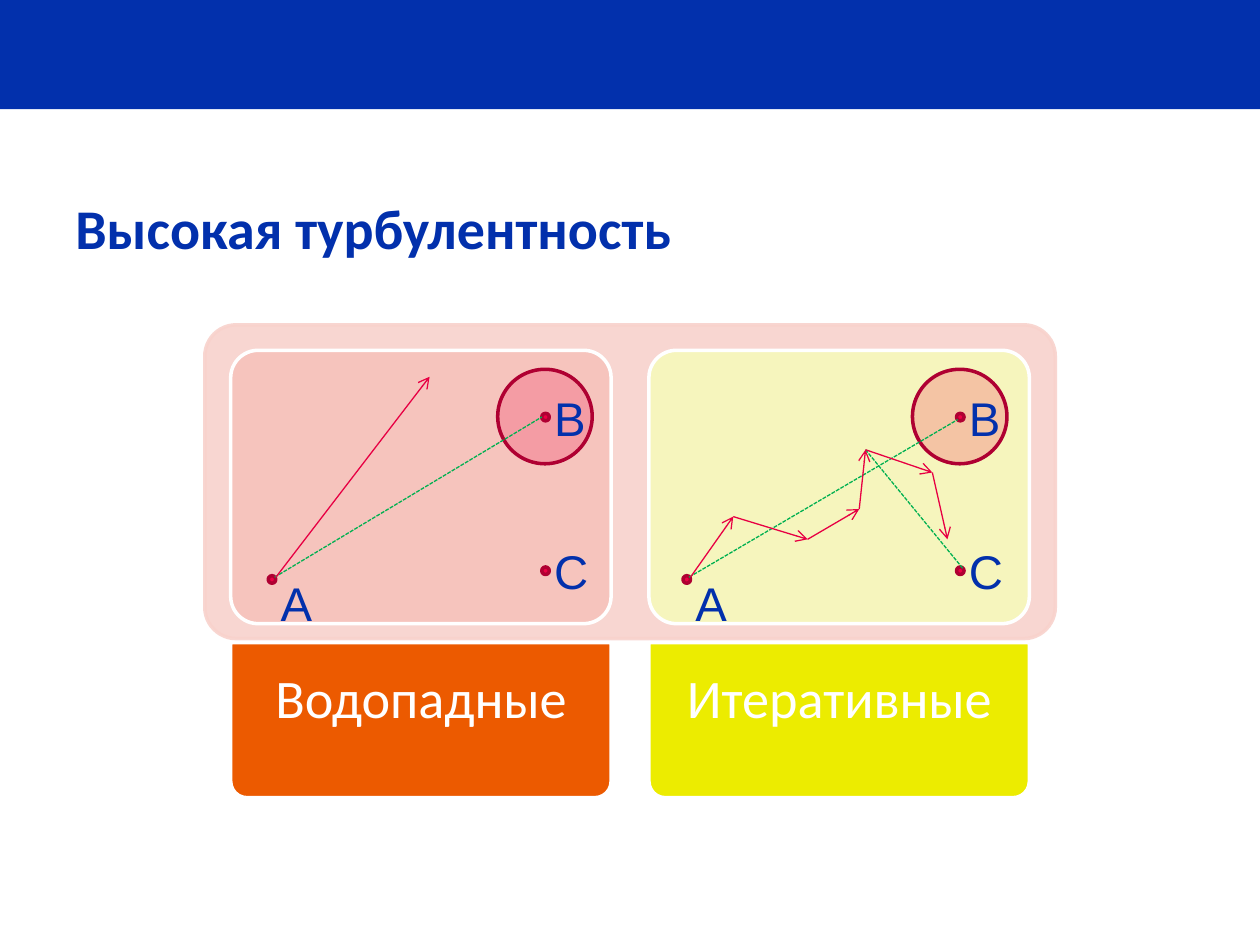
from dataclasses import dataclass
from itertools import pairwise

from lxml import etree
from pptx import Presentation
from pptx.dml.color import RGBColor
from pptx.enum.dml import MSO_LINE
from pptx.enum.shapes import MSO_CONNECTOR, MSO_SHAPE
from pptx.enum.text import MSO_ANCHOR, MSO_AUTO_SIZE, PP_ALIGN
from pptx.oxml.ns import qn
from pptx.util import Pt

RECTANGLE = MSO_SHAPE.RECTANGLE
ROUNDED = MSO_SHAPE.ROUNDED_RECTANGLE
TWO_ROUNDED = MSO_SHAPE.ROUND_2_SAME_RECTANGLE
OVAL = MSO_SHAPE.OVAL
STRAIGHT = MSO_CONNECTOR.STRAIGHT
DASH = MSO_LINE.SQUARE_DOT
MIDDLE = MSO_ANCHOR.MIDDLE
CENTER = PP_ALIGN.CENTER
FIT_SHAPE = MSO_AUTO_SIZE.SHAPE_TO_FIT_TEXT

BLUE = RGBColor(0x02, 0x30, 0xAC)
WHITE = RGBColor(0xFF, 0xFF, 0xFF)
PALE_RED = RGBColor(0xF8, 0xD2, 0xCC)
ROSE = RGBColor(0xF6, 0xC4, 0xBD)
CREAM = RGBColor(0xF6, 0xF5, 0xBD)
ORANGE = RGBColor(0xEC, 0x5A, 0x00)
YELLOW = RGBColor(0xEC, 0xEC, 0x00)
RED = RGBColor(0xEC, 0x00, 0x44)
DARK_RED = RGBColor(0xAF, 0x00, 0x32)
ARROW_RED = RGBColor(0xE7, 0x00, 0x43)
GREEN = RGBColor(0x00, 0xB0, 0x50)

DOT_SIZE = 4.3
TARGET_SIZE = 54
PANEL_WIDTH = 217.4

Point = tuple[float, float]


@dataclass(frozen=True)
class Box:
    left: float
    top: float
    width: float
    height: float

    def lengths(self) -> list[Pt]:
        return [Pt(v) for v in (self.left, self.top, self.width, self.height)]


@dataclass(frozen=True)
class Mark:
    """A dot with its letter, placed within the first panel."""
    letter: str
    dot: Point
    label: Box


@dataclass(frozen=True)
class Method:
    name: str
    left: float
    marks_shift: float
    panel_color: RGBColor
    name_color: RGBColor
    steps: list[Point]
    plans: list[tuple[Point, Point]]


MARKS = [
    Mark("А", (153.3, 329), Box(153.3, 324.7, 32.4, 40.3)),
    Mark("В", (309.6, 236.2), Box(309.6, 218.9, 32.4, 40.3)),
    Mark("C", (309.6, 324), Box(309.6, 306.5, 34.6, 40.3)),
]
METHODS = [
    Method("Водопадные", 131.8, 0, ROSE, ORANGE,
           steps=[(157.7, 329.8), (245.5, 215.3)],
           plans=[((157, 329.8), (309.6, 238.3))]),
    Method("Итеративные", 370.8, 237, CREAM, YELLOW,
           steps=[(394.6, 329.8), (419, 295.2), (461.5, 308.2), (491, 290.9),
                  (494.6, 257), (532.8, 270), (541.4, 308.2)],
           plans=[((393.8, 329.8), (547.2, 239.8)),
                  ((550.1, 324.7), (494.6, 257))]),
]


def set_alpha(color_parent, percent: int) -> None:
    """Make the solid fill inside the given element partly transparent."""
    color = color_parent.find(qn("a:solidFill"))[0]
    etree.SubElement(color, qn("a:alpha"), val=str(percent * 1000))


def add_filled(page, kind, box: Box, fill: RGBColor, line: RGBColor | None = None):
    shape = page.shapes.add_shape(kind, *box.lengths())
    shape.shadow.inherit = False
    shape.fill.solid()
    shape.fill.fore_color.rgb = fill
    if line is None:
        shape.line.fill.background()
    else:
        shape.line.color.rgb = line
        shape.line.width = Pt(2)
    return shape


def add_text(page, box: Box, text: str, font: str, size: float, color: RGBColor,
             wrap: bool = True):
    text_box = page.shapes.add_textbox(*box.lengths())
    frame = text_box.text_frame
    frame.word_wrap = wrap
    paragraph = frame.paragraphs[0]
    paragraph.text = text
    paragraph.font.name = font
    paragraph.font.size = Pt(size)
    paragraph.font.color.rgb = color
    return frame


def add_line(page, start: Point, end: Point, color: RGBColor):
    line = page.shapes.add_connector(STRAIGHT, *(Pt(v) for v in start + end))
    line.line.color.rgb = color
    line.line.width = Pt(0.75)
    etree.SubElement(line._element.spPr, qn("a:effectLst"))
    return line


def add_arrow(page, start: Point, end: Point) -> None:
    arrow = add_line(page, start, end, ARROW_RED)
    etree.SubElement(arrow.line._get_or_add_ln(), qn("a:tailEnd"), type="arrow")


def add_method_panel(page, method: Method) -> None:
    panel = add_filled(page, ROUNDED, Box(method.left, 200.2, PANEL_WIDTH, 156.2),
                       method.panel_color, WHITE)
    panel.adjustments[0] = 0.1
    plate = add_filled(page, TWO_ROUNDED, Box(method.left, 367.2, PANEL_WIDTH, 88.6),
                       method.name_color, WHITE)
    plate.adjustments[0] = 0.105
    plate.rotation = 180
    frame = add_text(page, Box(method.left + 2.9, 367.2, 211.7, 85.7),
                     method.name, "Calibri", 31, WHITE)
    frame.margin_left = frame.margin_right = Pt(17.3)
    frame.margin_top = frame.margin_bottom = Pt(17.3)
    frame.paragraphs[0].alignment = CENTER
    frame.paragraphs[0].line_spacing = 0.9


def add_route(page, method: Method) -> None:
    """Draw the target, the marks, the planned lines and the real steps."""
    shift = method.marks_shift
    target = add_filled(page, OVAL,
                        Box(284.4 + shift, 211, TARGET_SIZE, TARGET_SIZE), RED, DARK_RED)
    set_alpha(target._element.spPr, 20)
    for mark in MARKS:
        left, top = mark.dot
        add_filled(page, OVAL, Box(left + shift, top, DOT_SIZE, DOT_SIZE), RED, DARK_RED)
    for start, end in method.plans:
        add_line(page, start, end, GREEN).line.dash_style = DASH
    for start, end in pairwise(method.steps):
        add_arrow(page, start, end)
    for mark in MARKS:
        label = mark.label
        frame = add_text(page, Box(label.left + shift, label.top, label.width, label.height),
                         mark.letter, "Arial", 27, BLUE, wrap=False)
        frame.auto_size = FIT_SHAPE


def main() -> None:
    deck = Presentation()
    deck.slide_width, deck.slide_height = Pt(720), Pt(540)
    page = deck.slides.add_slide(deck.slide_layouts[6])

    add_filled(page, RECTANGLE, Box(0, 0, 720, 62.4), BLUE)
    title = add_text(page, Box(36, 97.2, 648, 64.8), "Высокая турбулентность",
                     "Calibri", 32, BLUE)
    title.vertical_anchor = MIDDLE
    title.paragraphs[0].font.bold = True

    frame = add_filled(page, ROUNDED, Box(117, 185.6, 486, 179.3), PALE_RED, PALE_RED)
    frame.adjustments[0] = 0.1
    set_alpha(frame._element.spPr, 90)
    set_alpha(frame.line._get_or_add_ln(), 90)

    for method in METHODS:
        add_method_panel(page, method)
    for method in METHODS:
        add_route(page, method)
    deck.save("out.pptx")


if __name__ == "__main__":
    main()
